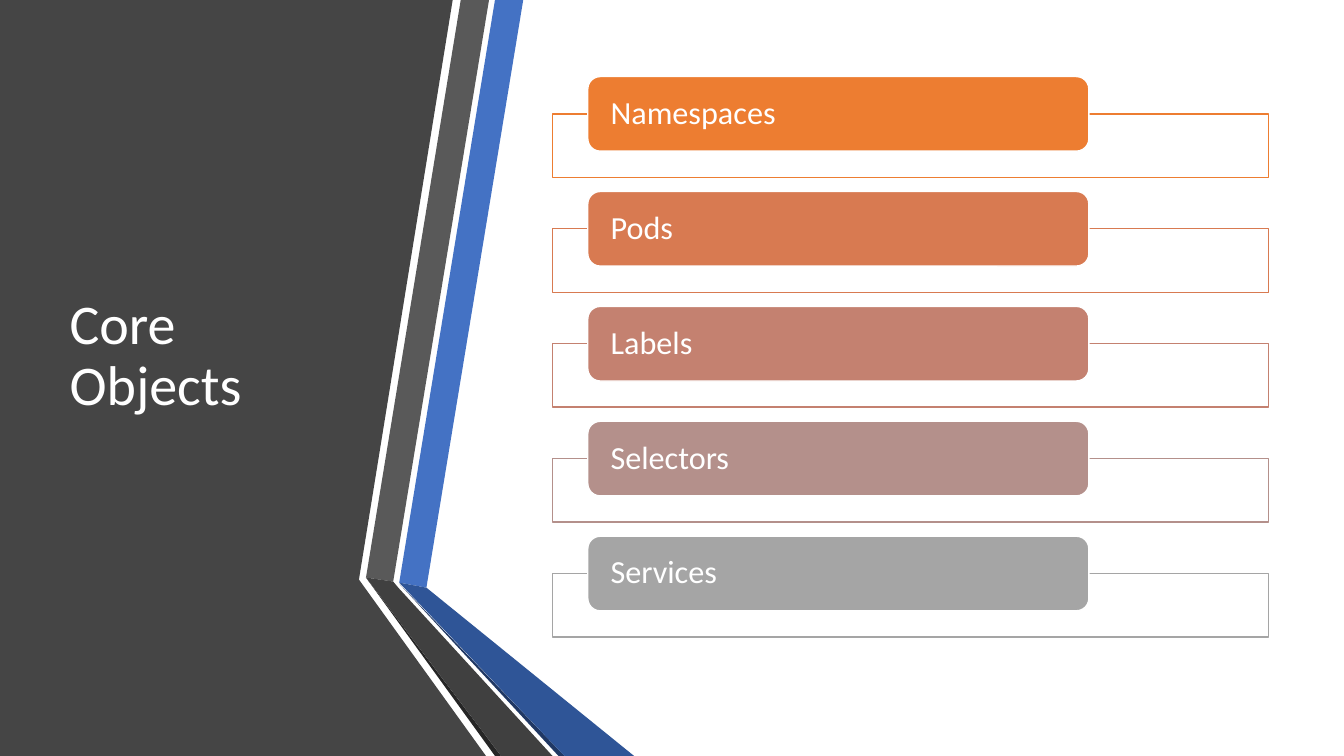
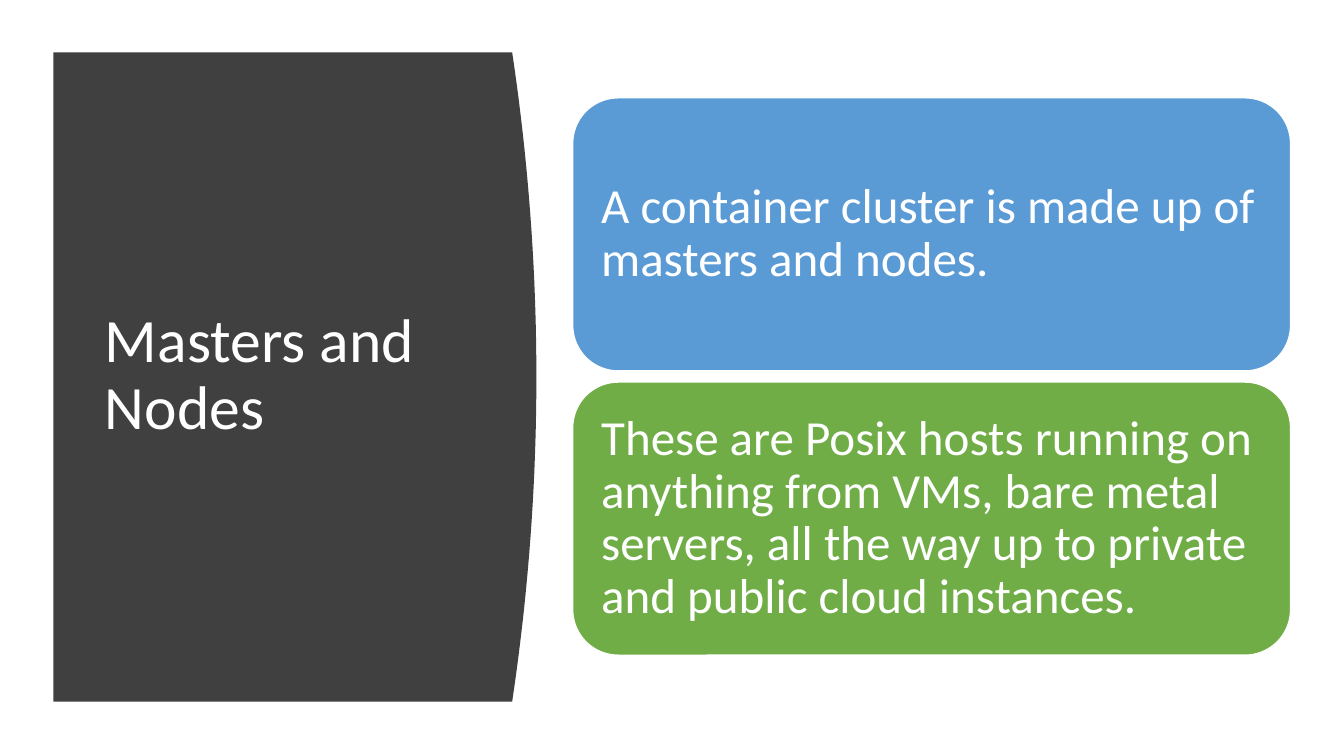
"""Build two slides on the core objects, masters and nodes of a cluster."""
import pptx
import pptx.dml.color
import pptx.enum.shapes
import pptx.enum.text
import pptx.oxml.ns
import pptx.util
from lxml import etree

Inches = pptx.util.Inches
RGBColor = pptx.dml.color.RGBColor
SHAPES = pptx.enum.shapes.MSO_SHAPE

FONT = "Calibri"
WHITE = RGBColor(0xFF, 0xFF, 0xFF)
SLATE = RGBColor(0x45, 0x45, 0x45)
CHARCOAL = RGBColor(0x40, 0x40, 0x40)
GREY = RGBColor(0x59, 0x59, 0x59)
INK = RGBColor(0x26, 0x26, 0x26)
BLUE = RGBColor(0x44, 0x72, 0xC4)
DEEP_BLUE = RGBColor(0x2F, 0x55, 0x97)
NAVY = RGBColor(0x20, 0x38, 0x64)
SKY = RGBColor(0x5B, 0x9B, 0xD5)
GREEN = RGBColor(0x70, 0xAD, 0x47)

CORE_OBJECTS = [
    ("Namespaces", RGBColor(0xED, 0x7D, 0x31)),
    ("Pods", RGBColor(0xD8, 0x7A, 0x51)),
    ("Labels", RGBColor(0xC4, 0x81, 0x70)),
    ("Selectors", RGBColor(0xB4, 0x90, 0x8B)),
    ("Services", RGBColor(0xA5, 0xA5, 0xA5)),
]
CLUSTER_FACTS = [
    ("A container cluster is made up of masters and nodes.", SKY),
    ("These are Posix hosts running on anything from VMs, bare metal servers, "
     "all the way up to private and public cloud instances.", GREEN),
]
RIBBONS = [
    (BLUE, [(3.96, 5.78), (4.23, 5.83), (5.19, 0), (4.91, 0)]),
    (GREY, [(4.85, 0), (4.57, 0), (3.63, 5.73), (3.9, 5.77)]),
    (INK, [(3.63, 5.73), (4.91, 7.5), (4.97, 7.5)]),
    (NAVY, [(3.96, 5.79), (5.54, 7.5), (5.6, 7.5)]),
    (DEEP_BLUE, [(3.96, 5.78), (5.6, 7.5), (6.29, 7.5), (4.23, 5.83)]),
    (CHARCOAL, [(3.63, 5.73), (4.97, 7.5), (5.48, 7.5), (3.95, 5.83), (3.9, 5.77)]),
]


def paint(shape, fill, line=None):
    """Give a shape a solid fill and an optional one-point outline."""
    shape.shadow.inherit = False
    shape.fill.solid()
    shape.fill.fore_color.rgb = fill
    if line is None:
        shape.line.fill.background()
    else:
        shape.line.color.rgb = line
        shape.line.width = pptx.util.Pt(1)


def write(frame, words, size, margins):
    """Write left-aligned white text, centred vertically in its frame."""
    frame.word_wrap = True
    frame.auto_size = pptx.enum.text.MSO_AUTO_SIZE.NONE
    frame.vertical_anchor = pptx.enum.text.MSO_ANCHOR.MIDDLE
    side, edge = (Inches(margin) for margin in margins)
    frame.margin_left = frame.margin_right = side
    frame.margin_top = frame.margin_bottom = edge
    paragraph = frame.paragraphs[0]
    paragraph.alignment = pptx.enum.text.PP_ALIGN.LEFT
    paragraph.line_spacing = 0.9
    run = paragraph.add_run()
    run.text = words
    run.font.name = FONT
    run.font.size = pptx.util.Pt(size)
    run.font.color.rgb = WHITE


def add_box(slide, preset, box, fill, line):
    """Add a preset shape at left, top, width and height in inches."""
    shape = slide.shapes.add_shape(preset, *(Inches(length) for length in box))
    paint(shape, fill, line)
    return shape


def add_polygon(slide, points, fill):
    """Add a closed outline through points in inches."""
    start, *rest = [(Inches(x), Inches(y)) for x, y in points]
    builder = slide.shapes.build_freeform(*start, scale=1.0)
    builder.add_line_segments(rest, close=True)
    paint(builder.convert_to_shape(), fill)


def add_title(slide, words, box, size):
    """Fill the title placeholder and bring it in front of the panel."""
    title = slide.shapes.title
    title.left, title.top, title.width, title.height = map(Inches, box)
    write(title.text_frame, words, size, (0.1, 0.05))
    slide.shapes.element.append(title.element)


def add_card(slide, words, box, fill, size, margins):
    """Add a rounded card with text."""
    card = add_box(slide, SHAPES.ROUNDED_RECTANGLE, box, fill, WHITE)
    write(card.text_frame, words, size, margins)


def add_frame(slide, box, line):
    """Add an outlined rectangle with a slightly transparent white fill."""
    frame = add_box(slide, SHAPES.RECTANGLE, box, WHITE, line)
    tint = frame.fill._xPr.find(".//" + pptx.oxml.ns.qn("a:srgbClr"))
    etree.SubElement(tint, pptx.oxml.ns.qn("a:alpha"), val="90000")


def curved_panel(left, top, right, bottom, bulge, steps=40):
    """Return the outline of a panel whose right side bows outwards."""
    points = [(left, bottom), (left, top)]
    for step in range(steps + 1):
        offset = 2 * step / steps - 1
        points.append((right + bulge * (1 - offset ** 2),
                       top + (bottom - top) * step / steps))
    return points


def build_core_objects(slide):
    """Build the slide that lists the core objects."""
    add_polygon(slide, [(0, 0), (4.49, 0), (3.56, 5.75), (4.82, 7.5), (0, 7.5)], SLATE)
    for color, points in RIBBONS:
        add_polygon(slide, points, color)
    add_title(slide, "Core Objects", (0.59, 0.75, 3.04, 5.58), 40)
    for row, (name, color) in enumerate(CORE_OBJECTS):
        top = 0.76 + 1.14 * row
        add_frame(slide, (5.48, top + 0.37, 7.1, 0.63), color)
        add_card(slide, name, (5.83, top, 4.97, 0.74), color, 23, (0.19, 0))


def build_masters_and_nodes(slide):
    """Build the slide that describes masters and nodes."""
    add_polygon(slide, curved_panel(0.53, 0.52, 5.08, 6.96, 0.24), CHARCOAL)
    add_title(slide, "Masters and Nodes", (0.94, 1.11, 3.74, 5.24), 44)
    for row, (fact, color) in enumerate(CLUSTER_FACTS):
        add_card(slide, fact, (5.68, 0.97 + 2.82 * row, 7.12, 2.71), color, 35, (0.15, 0.15))


def main():
    """Create and save the presentation."""
    deck = pptx.Presentation()
    deck.slide_width, deck.slide_height = Inches(13.33), Inches(7.5)
    title_only = deck.slide_layouts[5]
    for build in (build_core_objects, build_masters_and_nodes):
        build(deck.slides.add_slide(title_only))
    deck.save("out.pptx")


if __name__ == "__main__":
    main()
